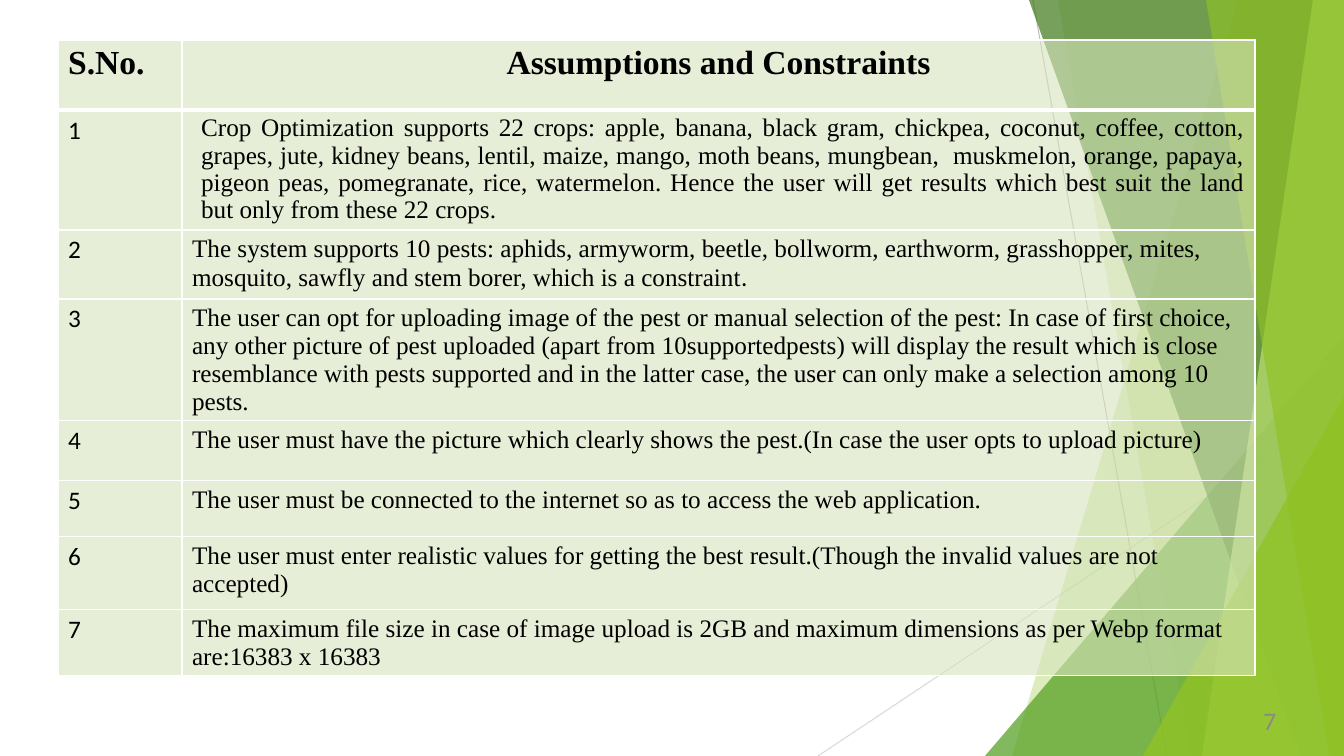
from lxml import etree
from pptx import Presentation
from pptx import util as u
from pptx.dml.color import RGBColor
from pptx.enum import shapes, text
from pptx.oxml import ns

W, H = 1344, 756
SCALE = 914400 / 100.8
SERIF, SANS = "Times New Roman", "Calibri"
BLACK = RGBColor(0, 0, 0)
WHITE = RGBColor(0xFF, 0xFF, 0xFF)
SILVER = RGBColor(0xBE, 0xBE, 0xBE)
PALE = RGBColor(0xD9, 0xD9, 0xD9)
GREY = RGBColor(0x89, 0x89, 0x89)
LIME = RGBColor(0x90, 0xC2, 0x25)
LEAF = RGBColor(0x53, 0x9F, 0x20)
MOSS = RGBColor(0x3E, 0x78, 0x18)
MINT = RGBColor(0xC0, 0xE3, 0x74)
SAGE = RGBColor(0xD7, 0xE4, 0xBD)

RAYS = [
    (1033, 0, 1167, H, SILVER),
    (W, 406, 818, H, PALE),
]
SHARDS = [
    ([(W, 0), (1238, 0), (1012, H)], LIME, 30),
    ([(W, 0), (1058, 0), (1191, H)], LIME, 20),
    ([(W, 336), (985, H)], LEAF, 72),
    ([(W, 0), (1029, 0), (1301, H)], MOSS, 70),
    ([(W, 0), (1313, 0), (1202, H)], MINT, 70),
    ([(W, 0), (1206, 0), (1329, H)], LIME, 65),
    ([(W, 396), (1143, H)], LIME, 80),
]
COLS = [124, 1073]
ROWS = [70, 120, 69, 122, 60, 56, 73, 66]
RULES = [
    "Crop Optimization supports 22 crops: apple, banana, black gram, chickpea, coconut, "
    "coffee, cotton, grapes, jute, kidney beans, lentil, maize, mango, moth beans, "
    "mungbean,  muskmelon, orange, papaya, pigeon peas, pomegranate, rice, watermelon. "
    "Hence the user will get results which best suit the land but only from these 22 crops.",
    "The system supports 10 pests: aphids, armyworm, beetle, bollworm, earthworm, "
    "grasshopper, mites, mosquito, sawfly and stem borer, which is a constraint",
    "The user can opt for uploading image of the pest or manual selection of the pest: "
    "In case of first choice, any other picture of pest uploaded (apart from "
    "10supportedpests) will display the result which is close resemblance with pests "
    "supported and in the latter case, the user can only make a selection among 10 pests.",
    "The user must have the picture which clearly shows the pest."
    "(In case the user opts to upload picture)",
    "The user must be connected to the internet so as to access the web application.",
    "The user must enter realistic values for getting the best result."
    "(Though the invalid values are not accepted)",
    "The maximum file size in case of image upload is 2GB and maximum dimensions "
    "as per Webp format are:16383 x 16383",
]


def px(n):
    return u.Emu(round(n * SCALE))


def sub(node, tag, **attrs):
    return etree.SubElement(node, ns.qn(tag), attrs)


class Deck:
    def __init__(self):
        self.prs = Presentation()
        self.prs.slide_width, self.prs.slide_height = px(W), px(H)
        self.slide = self.prs.slides.add_slide(self.prs.slide_layouts[6])
        self.items = self.slide.shapes

    def ray(self, x1, y1, x2, y2, color):
        line = self.items.add_connector(
            shapes.MSO_CONNECTOR.STRAIGHT, px(x1), px(y1), px(x2), px(y2))
        line.line.color.rgb = color
        line.line.width = u.Pt(0.75)
        sub(line._element.spPr, "a:effectLst")

    def shard(self, points, color, alpha):
        pen = self.items.build_freeform(*points[0], scale=SCALE)
        pen.add_line_segments(points[1:] + [(W, H)], close=True)
        shape = pen.convert_to_shape()
        shape.shadow.inherit = False
        shape.line.fill.background()
        self.tint(shape.fill, shape._element.spPr, color, alpha)

    def tint(self, fill, props, color, alpha):
        fill.solid()
        fill.fore_color.rgb = color
        tone = props.find(ns.qn("a:solidFill"))[0]
        sub(tone, "a:alpha", val=str(alpha * 1000))

    def run(self, para, words, font, size=18, color=BLACK, bold=False):
        run = para.add_run()
        run.text = words
        run.font.name = font
        run.font.size = u.Pt(size)
        run.font.color.rgb = color
        run.font.bold = bold

    def label(self, x, y, w, h, words, color):
        frame = self.items.add_textbox(px(x), px(y), px(w), px(h)).text_frame
        frame.word_wrap = True
        frame.vertical_anchor = text.MSO_ANCHOR.MIDDLE
        para = frame.paragraphs[0]
        para.alignment = text.PP_ALIGN.RIGHT
        self.run(para, words, SANS, color=color)

    def grid(self, x, y, cols, rows):
        frame = self.items.add_table(
            len(rows), len(cols), px(x), px(y), px(sum(cols)), px(sum(rows)))
        table = frame.table
        table.first_row = table.horz_banding = False
        for col, width in zip(table.columns, cols):
            col.width = px(width)
        for row, height in zip(table.rows, rows):
            row.height = px(height)
        for i, row in enumerate(table.rows):
            for cell in row.cells:
                self.edge(cell, top=3 if i == 1 else 1, low=3 if i == 0 else 1)
        return table

    def edge(self, cell, top, low):
        props = cell._tc.get_or_add_tcPr()
        for side, width in zip("LRTB", (1, 1, top, low)):
            line = sub(props, f"a:ln{side}", w=str(u.Pt(width)))
            sub(sub(line, "a:solidFill"), "a:srgbClr", val=str(WHITE))
        self.tint(cell.fill, props, SAGE, 60)

    def save(self):
        self.prs.save("out.pptx")


def main():
    deck = Deck()
    for ray in RAYS:
        deck.ray(*ray)
    for shard in SHARDS:
        deck.shard(*shard)

    table = deck.grid(58, 40, COLS, ROWS)
    heads = [table.cell(0, c).text_frame.paragraphs[0] for c in range(2)]
    for para, words in zip(heads, ["S.No.", "Assumptions and Constraints"]):
        deck.run(para, words, SERIF, 24, bold=True)
    heads[1].alignment = text.PP_ALIGN.CENTER

    for i, words in enumerate(RULES, 1):
        count, rule = [table.cell(i, c).text_frame.paragraphs[0] for c in range(2)]
        deck.run(count, str(i), SANS)
        deck.run(rule, words, SERIF)
        if i == 1:
            rule.alignment = text.PP_ALIGN.JUSTIFY
            rule.line_spacing = 0.98
            rule.space_before = u.Pt(5)
            rule._p.get_or_add_pPr().set("marL", str(px(9)))
        elif i == 2:
            deck.run(rule, ".", SANS)

    deck.label(1186, 700, 100, 40, "7", GREY)
    deck.save()


if __name__ == "__main__":
    main()
